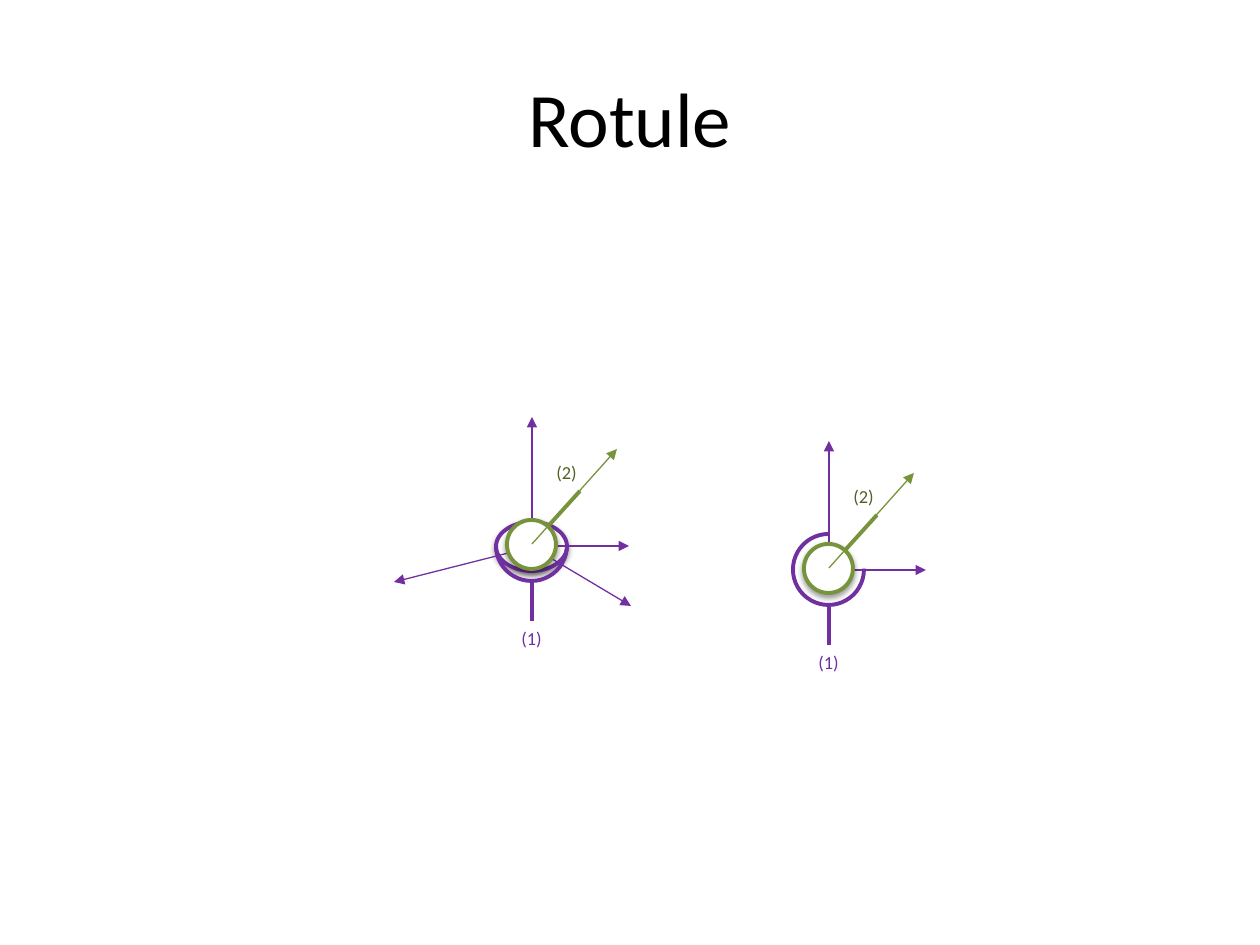
from pptx import Presentation
from pptx.dml.color import RGBColor as Rgb
from pptx.enum.shapes import MSO_CONNECTOR as Conn, MSO_SHAPE as Geo
from pptx.enum.text import MSO_ANCHOR as Anchor, PP_ALIGN as Align
from pptx.oxml import parse_xml
from pptx.oxml.ns import nsdecls, qn
from pptx.util import Pt

PX = 914400 // 126
COLORS = {"socket": "7030A0", "ball": "77933C", "label": "4F6228",
          "white": "FFFFFF", "black": "000000"}
THIN, THICK = 0.75, 2.25


def rgb(name):
    return Rgb.from_string(COLORS[name])


def px(*nums):
    return [n * PX for n in nums]


def add_text(slide, box, text, size, color, anchor=Anchor.TOP):
    frame = slide.shapes.add_textbox(*px(*box)).text_frame
    frame.word_wrap = True
    frame.vertical_anchor = anchor
    para = frame.paragraphs[0]
    para.alignment = Align.CENTER
    run = para.add_run()
    run.text = text
    run.font.name = "Calibri"
    run.font.size = Pt(size)
    run.font.color.rgb = rgb(color)


def add_line(slide, start, end, color, width=THIN, arrow=True):
    line = slide.shapes.add_connector(Conn.STRAIGHT, *px(*start, *end))
    line.line.color.rgb = rgb(color)
    line.line.width = Pt(width)
    props = line._element.spPr
    if arrow:
        props.find(qn("a:ln")).append(
            parse_xml(f'<a:tailEnd {nsdecls("a")} type="triangle"/>'))
    props.append(parse_xml(f'<a:effectLst {nsdecls("a")}/>'))


def add_round(slide, box, color, arc=None):
    """Draw a white shaded ellipse, or an open arc between two angles."""
    shape = slide.shapes.add_shape(Geo.ARC if arc else Geo.OVAL, *px(*box))
    shape.line.color.rgb = rgb(color)
    shape.line.width = Pt(THICK)
    shape.shadow.inherit = False
    if arc:
        shape.fill.background()
        for i, angle in enumerate(arc):
            shape.adjustments[i] = angle * 0.6  # 60000 units per degree
        return
    shape.fill.solid()
    shape.fill.fore_color.rgb = rgb("white")
    shape._element.spPr.find(qn("a:effectLst")).append(parse_xml(
        f'<a:outerShdw {nsdecls("a")} blurRad="40000" dist="20000" '
        'dir="5400000" rotWithShape="0"><a:srgbClr val="000000">'
        '<a:alpha val="38000"/></a:srgbClr></a:outerShdw>'))


def add_joint(slide, box, arc, solid=False):
    """Draw a ball joint whose socket fills the box; solid is the 3D view."""
    left, top, wide, high = box
    mid_x, mid_y = left + wide // 2, top + high // 2

    def at(x, y, *size):
        return (mid_x + x, mid_y + y, *size)

    # Socket rim, axes and post
    if solid:
        add_round(slide, at(-36, -24, 71, 49), "socket")
    add_line(slide, at(-2, 0), at(97, 0), "socket")
    add_line(slide, at(0, 0), at(0, -129), "socket")
    add_line(slide, at(0, 75), at(0, 36), "socket", THICK, arrow=False)
    if solid:
        for tip in ((99, 60), (-138, 36)):
            add_line(slide, at(0, 1), at(*tip), "socket")

    # Ball on its stem
    add_line(slide, at(0, -2), at(48, -55), "ball", THICK, arrow=False)
    add_round(slide, at(-25, -26, 49, 49), "ball")

    # Part numbers
    add_text(slide, at(-25, 75, 49, 37), "(1)", 10.5, "socket")
    add_text(slide, at(10, -91, 49, 37), "(2)", 10.5, "label")

    # Socket bowl and ball axis
    add_round(slide, (left, top, wide - 1, high - 1), "socket", arc)
    add_line(slide, at(0, -2), at(85, -97), "ball")


def main():
    deck = Presentation()
    deck.slide_width, deck.slide_height = px(1260, 945)
    slide = deck.slides.add_slide(deck.slide_layouts[6])
    add_joint(slide, (496, 510, 72, 72), (358.57, 182.45), solid=True)
    add_joint(slide, (793, 534, 72, 72), (358.57, 270))
    add_text(slide, (63, 38, 1134, 157), "Rotule", 44, "black", Anchor.MIDDLE)
    deck.save("out.pptx")


if __name__ == "__main__":
    main()
